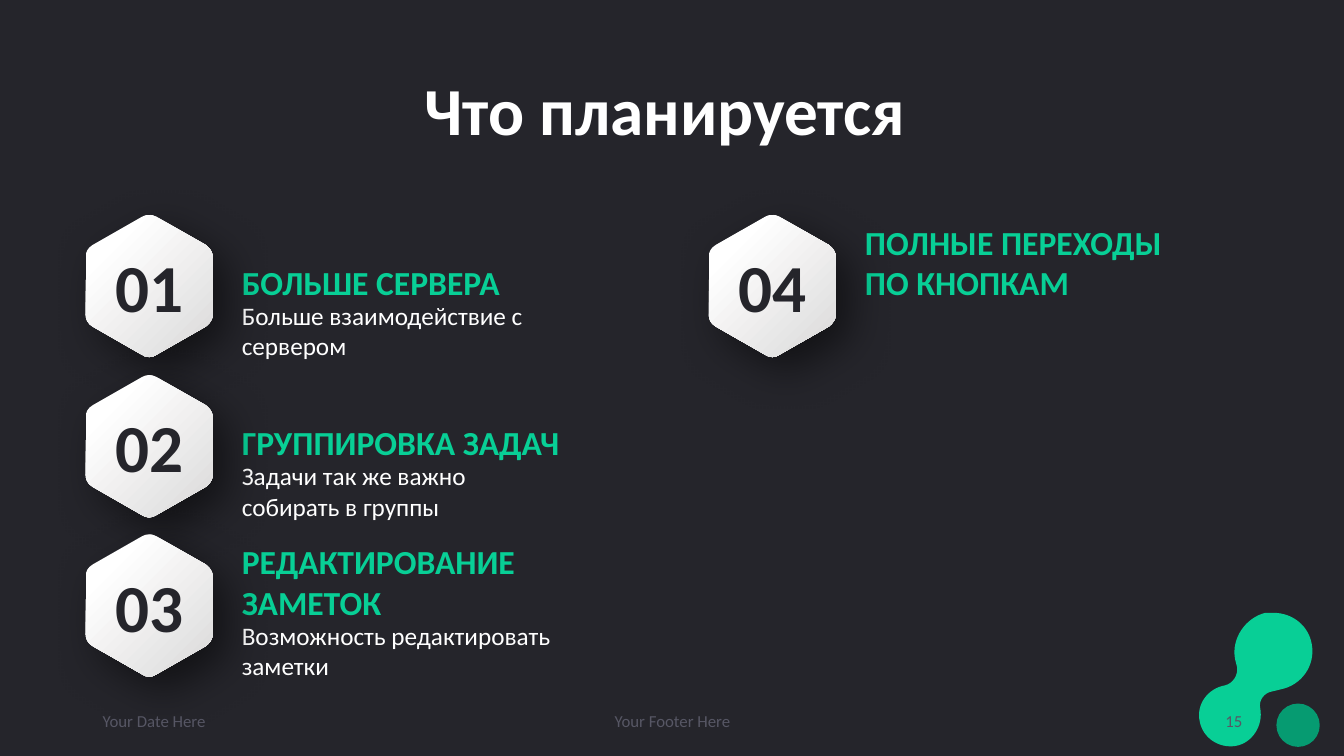
from lxml import etree
from pptx import Presentation, util as u
from pptx.dml.color import RGBColor
from pptx.enum import shapes, text
from pptx.oxml import ns

PX = 9144
DARK = RGBColor(0x25, 0x25, 0x2B)
GREEN = RGBColor(0x08, 0xCF, 0x96)
DEEP_GREEN = RGBColor(0x06, 0x9B, 0x71)
WHITE = RGBColor(0xFF, 0xFF, 0xFF)
SILVER = RGBColor(0xDA, 0xD9, 0xD9)
GREY = RGBColor(0x57, 0x57, 0x65)

LEFT, CENTER, RIGHT = text.PP_ALIGN.LEFT, text.PP_ALIGN.CENTER, text.PP_ALIGN.RIGHT
TOP, MIDDLE, BOTTOM = text.MSO_ANCHOR.TOP, text.MSO_ANCHOR.MIDDLE, text.MSO_ANCHOR.BOTTOM

HEXAGON = [
    (63, 0), (65, 0, 68, 1, 70, 2), (119, 30), (123, 33, 126, 37, 126, 42), (126, 99),
    (126, 104, 123, 108, 119, 111), (70, 139), (66, 142, 60, 142, 56, 139),
    (7, 111), (2, 108, 0, 104, 0, 99), (0, 42), (0, 37, 2, 33, 7, 30),
    (56, 2), (58, 1, 60, 0, 63, 0),
]
BLOB = [
    (115, 31), (119, 52, 105, 72, 84, 76), (76, 78), (68, 79, 62, 87, 64, 95),
    (67, 112, 56, 129, 40, 132), (23, 135, 7, 124, 4, 108),
    (0, 91, 12, 75, 29, 72), (37, 70, 42, 62, 41, 54), (39, 46),
    (35, 26, 49, 5, 69, 0), (72, 0, 75, 0, 77, 0), (96, 0, 112, 13, 115, 31),
]

PLANS = [
    ("01", "БОЛЬШЕ СЕРВЕРА", 61, ["Больше взаимодействие с сервером"]),
    ("02", "ГРУППИРОВКА ЗАДАЧ", 61, ["Задачи так же важно", "собирать в группы"]),
    ("03", "РЕДАКТИРОВАНИЕ ЗАМЕТОК", 101, ["Возможность редактировать заметки"]),
    ("04", "ПОЛНЫЕ ПЕРЕХОДЫ ПО КНОПКАМ", 101, []),
]
ROWS = 3


def write_text(shape, lines, size, color, bold=False, align=LEFT, anchor=MIDDLE,
               insets=(10, 5, 10, 5), spacing=1.0):
    frame = shape.text_frame
    frame.word_wrap = True
    frame.vertical_anchor = anchor
    frame.margin_left, frame.margin_top, frame.margin_right, frame.margin_bottom = (
        inset * PX for inset in insets)
    frame.text = "\n".join(lines)
    for paragraph in frame.paragraphs:
        paragraph.alignment = align
        paragraph.line_spacing = spacing
        font = paragraph.font
        font.name, font.size, font.bold = "Calibri", u.Pt(size), bold
        font.color.rgb = color


def add_text(parent, left, top, width, height, lines, size, color, **style):
    box = parent.shapes.add_textbox(left * PX, top * PX, width * PX, height * PX)
    write_text(box, lines, size, color, **style)


def add_outline(parent, left, top, width, height, segments):
    corners = [(segment[-2] * PX, segment[-1] * PX) for segment in segments]
    builder = parent.shapes.build_freeform(*corners[0], scale=1.0)
    builder.add_line_segments(corners[1:], close=True)
    shape = builder.convert_to_shape(left * PX, top * PX)
    shape.left, shape.top = left * PX, top * PX
    shape.width, shape.height = width * PX, height * PX
    outline = next(shape._element.iter(ns.qn("a:pathLst")))[0]
    outline.set("w", str(width * PX))
    outline.set("h", str(height * PX))
    for step, segment in zip(outline, segments):
        if len(segment) == 6:
            step.tag = ns.qn("a:cubicBezTo")
        for point in list(step):
            step.remove(point)
        for x, y in zip(segment[::2], segment[1::2]):
            etree.SubElement(step, ns.qn("a:pt"), x=str(x * PX), y=str(y * PX))
    shape.shadow.inherit = False
    shape.line.fill.background()
    return shape


def add_soft_shadow(shape):
    effects = shape._element.spPr.find(ns.qn("a:effectLst"))
    shadow = etree.SubElement(
        effects, ns.qn("a:outerShdw"), blurRad=str(u.Pt(30)), dist=str(u.Pt(14)),
        dir="2700000", algn="tl", rotWithShape="0")
    color = etree.SubElement(shadow, ns.qn("a:srgbClr"), val="000000")
    etree.SubElement(color, ns.qn("a:alpha"), val="50000")


def add_badge(slide, left, top, number):
    badge = add_outline(slide, left, top, 126, 141, HEXAGON)
    badge.fill.gradient()
    badge.fill.gradient_angle = 315
    for stop, position, color in zip(badge.fill.gradient_stops, (0.2, 1), (WHITE, SILVER)):
        stop.position = position
        stop.color.rgb = color
    add_soft_shadow(badge)
    write_text(badge, [number], 48, DARK, bold=True, align=CENTER, insets=(6, 3, 6, 3))


def add_plan(slide, left, top, number, heading, heading_height, details):
    group = slide.shapes.add_group_shape()
    add_text(group, left + 145, top + 87 - heading_height, 363, heading_height, [heading],
             24, GREEN, bold=True, anchor=BOTTOM, insets=(10, 20, 10, 0))
    if details:
        add_text(group, left + 145, top + 85, 363, 61, details, 18, WHITE,
                 anchor=TOP, insets=(10, 0, 10, 0))
    add_badge(slide, left, top, number)


def add_plans(slide, left, top):
    for index, plan in enumerate(PLANS):
        column, row = divmod(index, ROWS)
        add_plan(slide, left + 618 * column, top + (317 * row + 1) // 2, *plan)


def add_drops(slide, left, top):
    group = slide.shapes.add_group_shape()
    blob = add_outline(group, left, top, 119, 136, BLOB)
    drop = group.shapes.add_shape(
        shapes.MSO_SHAPE.OVAL, (left + 80) * PX, (top + 90) * PX, 43 * PX, 43 * PX)
    drop.shadow.inherit = False
    drop.line.fill.background()
    for shape, color in ((blob, GREEN), (drop, DEEP_GREEN)):
        shape.fill.solid()
        shape.fill.fore_color.rgb = color


def add_footer(slide, left, top, width, height):
    side, middle = 300, 450
    add_text(slide, left, top, side, height, ["Your Date Here"], 12, GREY)
    add_text(slide, left + (width - middle) // 2, top, middle, height,
             ["Your Footer Here"], 12, GREY, align=CENTER)
    add_text(slide, left + width - side, top, side, height, ["15"], 12, GREY, align=RIGHT)


def add_plans_slide(presentation):
    slide = presentation.slides.add_slide(presentation.slide_layouts[6])
    slide.background.fill.solid()
    slide.background.fill.fore_color.rgb = DARK
    add_drops(slide, 1186, 608)
    add_text(slide, 92, 40, 1150, 145, ["Что планируется "], 48, WHITE,
             bold=True, align=CENTER, spacing=0.9)
    add_footer(slide, 92, 695, 1150, 40)
    add_plans(slide, 85, 213)


def main():
    presentation = Presentation()
    presentation.slide_width = 1333 * PX
    presentation.slide_height = 750 * PX
    add_plans_slide(presentation)
    presentation.save("out.pptx")


if __name__ == "__main__":
    main()
